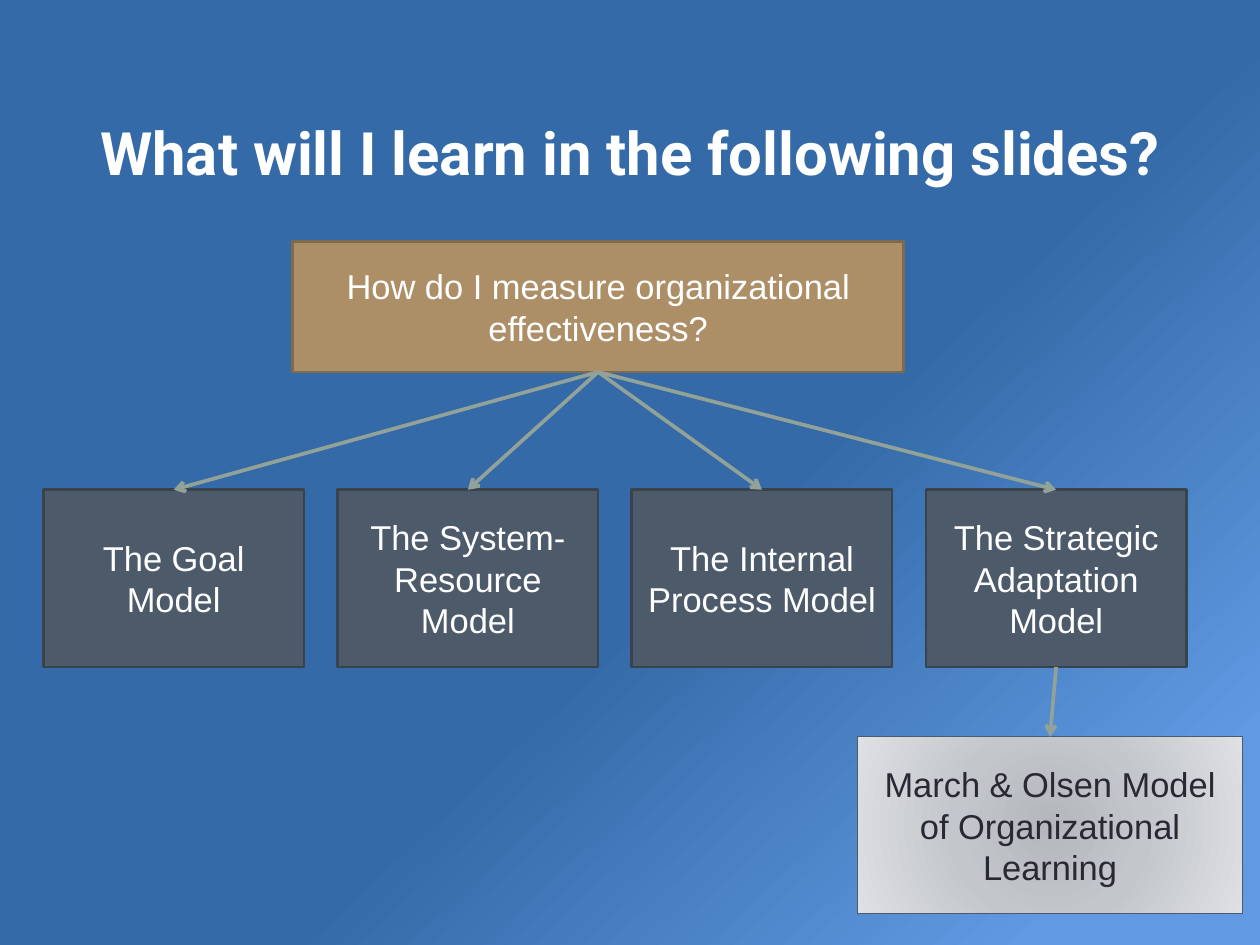
from copy import deepcopy

from lxml.etree import SubElement
from pptx import Presentation
from pptx.dml.color import RGBColor
from pptx.enum.shapes import MSO_CONNECTOR, MSO_SHAPE
from pptx.enum.text import MSO_ANCHOR, PP_ALIGN
from pptx.oxml.ns import qn
from pptx.util import Inches, Pt

COLORS = {
    "back": "336AA7", "back_light": "619AE3", "white": "FFFFFF", "dark": "292934",
    "slate": "4C5A6A", "slate_line": "38434E", "tan": "AD8F67", "tan_line": "806A4C",
    "arrow": "93A299", "gray": "B4B7BC", "gray_mid": "C3C7CB", "gray_light": "DFE0E3",
}
MODELS = [
    "The Goal Model",
    "The System-Resource Model",
    "The Internal Process Model",
    "The Strategic Adaptation Model",
]


def rgb(name):
    return RGBColor.from_string(COLORS[name])


def write(tf, text, size=28, font="Arial", color="white", bold=False):
    tf.word_wrap = True
    tf.vertical_anchor = MSO_ANCHOR.MIDDLE
    p = tf.paragraphs[0]
    p.alignment = PP_ALIGN.CENTER
    r = p.add_run()
    r.text = text
    r.font.size = Pt(size)
    r.font.name = font
    r.font.bold = bold
    r.font.color.rgb = rgb(color)


class Deck:
    def __init__(self, width, height):
        self.prs = Presentation()
        self.prs.slide_width = Inches(width)
        self.prs.slide_height = Inches(height)
        self.s = self.prs.slides.add_slide(self.prs.slide_layouts[5])

    def set_stops(self, fill, stops):
        for stop, (position, color) in zip(fill.gradient_stops, stops):
            stop.position = position
            stop.color.rgb = rgb(color)

    def background(self, stops, angle):
        fill = self.s.background.fill
        fill.gradient()
        fill.gradient_angle = 360 - angle
        self.set_stops(fill, stops)

    def title(self, text, x, y, w, h):
        sp = self.s.shapes.title
        sp.left, sp.top, sp.width, sp.height = map(Inches, (x, y, w, h))
        tf = sp.text_frame
        tf.margin_left = tf.margin_right = tf.margin_top = tf.margin_bottom = Inches(0.06)
        write(tf, text, size=48.6, font="Roboto", bold=True)

    def box(self, text, x, y, w, h, fill, line, line_width=2.08, color="white"):
        sp = self.s.shapes.add_shape(MSO_SHAPE.RECTANGLE, *map(Inches, (x, y, w, h)))
        sp.shadow.inherit = False
        sp.fill.solid()
        sp.fill.fore_color.rgb = rgb(fill)
        sp.line.color.rgb = rgb(line)
        sp.line.width = Pt(line_width)
        write(sp.text_frame, text, color=color)
        return sp

    def radial(self, sp, stops):
        sp.fill.gradient()
        grad = sp._element.spPr.find(qn("a:gradFill"))
        gs_lst = grad.find(qn("a:gsLst"))
        for _ in range(len(stops) - len(gs_lst)):
            gs_lst.append(deepcopy(gs_lst[-1]))
        self.set_stops(sp.fill, stops)
        grad.remove(grad.find(qn("a:lin")))
        circle = SubElement(grad, qn("a:path"), path="circle")
        SubElement(circle, qn("a:fillToRect"), dict.fromkeys("ltrb", "100000"))

    def arrow(self, start, end):
        c = self.s.shapes.add_connector(MSO_CONNECTOR.STRAIGHT, 0, 0, 0, 0)
        c.begin_connect(start, 2)
        c.end_connect(end, 0)
        c.line.color.rgb = rgb("arrow")
        c.line.width = Pt(3)
        SubElement(c.line._get_or_add_ln(), qn("a:tailEnd"), type="arrow")
        SubElement(c._element.spPr, qn("a:effectLst"))


def main():
    deck = Deck(14.22, 10.67)
    deck.background([(0.57, "back"), (0.9, "back_light")], 47)
    deck.title("What will I learn in the following slides?", 0.83, 0.96, 12.56, 1.5)

    models = [
        deck.box(text, 0.49 + 3.32 * i, 5.53, 2.94, 2, "slate", "slate_line")
        for i, text in enumerate(MODELS)
    ]
    question = deck.box("How do I measure organizational effectiveness?",
                        3.3, 2.73, 6.9, 1.47, "tan", "tan_line")
    learning = deck.box("March & Olsen Model of Organizational Learning",
                        9.68, 8.32, 4.34, 2, "gray", "slate", 0.75, "dark")
    deck.radial(learning, [(0, "gray"), (0.45, "gray_mid"), (1, "gray_light")])

    deck.arrow(models[-1], learning)
    for model in reversed(models):
        deck.arrow(question, model)

    deck.prs.save("out.pptx")


if __name__ == "__main__":
    main()
